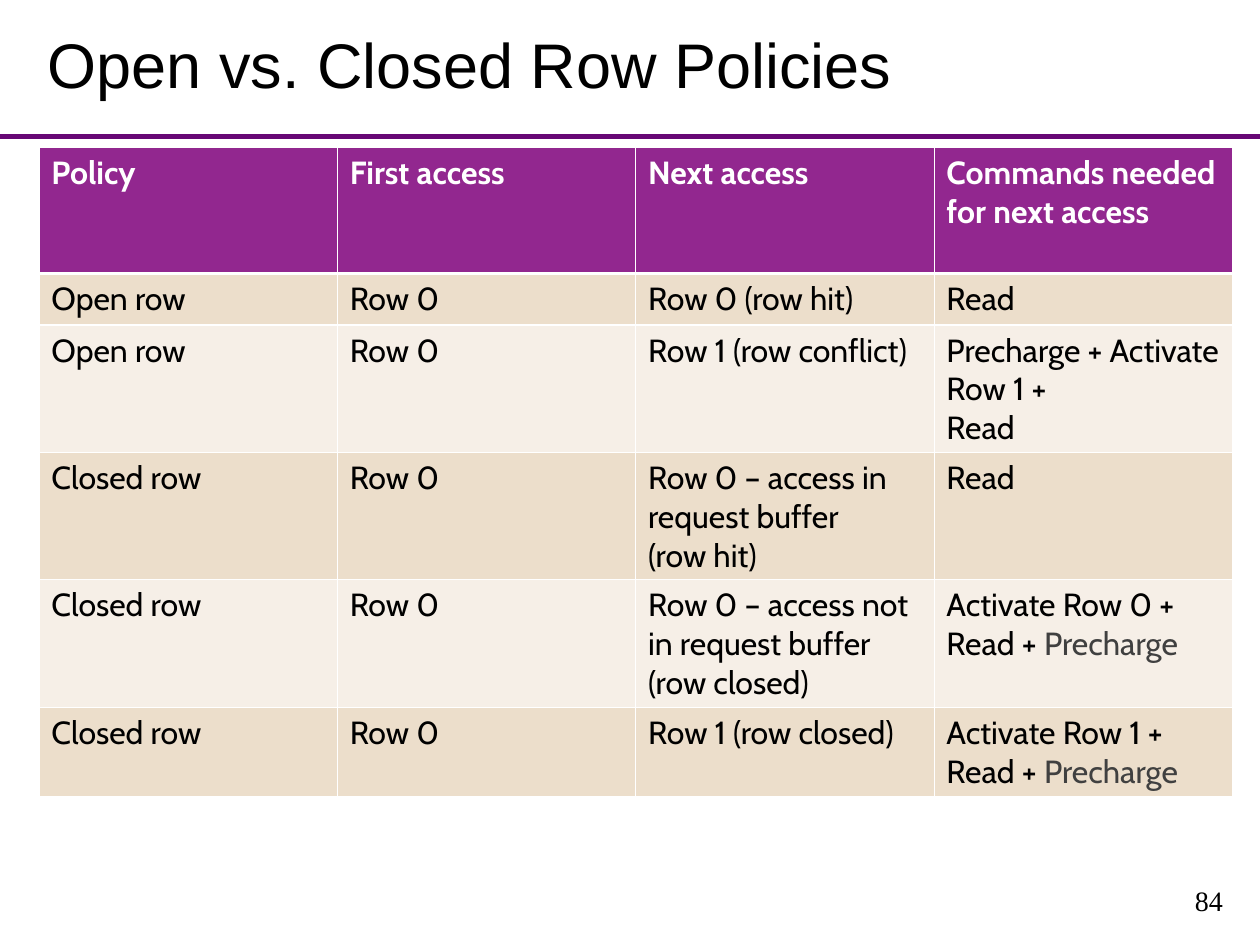
from dataclasses import dataclass

from lxml import etree
from pptx import Presentation
from pptx.dml.color import RGBColor
from pptx.enum.shapes import MSO_CONNECTOR
from pptx.enum.text import MSO_ANCHOR, PP_ALIGN
from pptx.oxml import parse_xml
from pptx.oxml.ns import nsdecls, qn
from pptx.util import Inches, Pt


@dataclass(frozen=True)
class Theme:
    black: str = "000000"
    white: str = "FFFFFF"
    muted: str = "404040"
    rule: str = "670775"
    header: str = "92278F"
    bands: tuple = ("ECDECB", "F6EFE7")
    title_size: float = 51.2
    table_size: float = 26
    number_size: float = 22.8
    title_font: str = "Arial"
    table_font: str = "Cabin"
    number_font: str = "Times New Roman"


theme = Theme()


def style_font(font, name, size, color, bold=False):
    font.name = name
    font.size = Pt(size)
    font.bold = bold
    font.color.rgb = RGBColor.from_string(color)


def add_label(text, left, top, width, height, name, size):
    box = slide.shapes.add_textbox(Inches(left), Inches(top), Inches(width), Inches(height))
    frame = box.text_frame
    frame.word_wrap = True
    frame.vertical_anchor = MSO_ANCHOR.MIDDLE
    frame.text = text
    paragraph = frame.paragraphs[0]
    style_font(paragraph.runs[0].font, name, size, theme.black)
    return paragraph


presentation = Presentation()
presentation.slide_width = Inches(14.22)
presentation.slide_height = Inches(10.67)
slide = presentation.slides.add_slide(presentation.slide_layouts[6])

# Rule under the title
rule = slide.shapes.add_connector(
    MSO_CONNECTOR.STRAIGHT, 0, Inches(1.54), presentation.slide_width, Inches(1.54))
rule.line.color.rgb = RGBColor.from_string(theme.rule)
rule.line.width = Pt(4.5)
etree.SubElement(rule._element.spPr, qn("a:effectLst"))

# Title
title = add_label("Open vs. Closed Row Policies", 0.44, 0.13, 13.47, 1.27,
                  theme.title_font, theme.title_size)
title.line_spacing = 0.9

# Policy table: "\n" parts paragraphs, "|" starts the muted run
policies = [
    ("Policy", "First access", "Next access", "Commands needed for next access"),
    ("Open row", "Row 0", "Row 0 (row hit)", "Read"),
    ("Open row", "Row 0", "Row 1 (row conflict)", "Precharge + Activate Row 1 +\nRead"),
    ("Closed row", "Row 0", "Row 0 – access in request buffer\n(row hit)", "Read"),
    ("Closed row", "Row 0", "Row 0 – access not in request buffer (row closed)",
     "Activate Row 0 + Read + |Precharge"),
    ("Closed row", "Row 0", "Row 1 (row closed)", "Activate Row 1 + Read + |Precharge"),
]
row_heights = [1.42, 0.58, 1.42, 1.42, 1.42, 1]
table = slide.shapes.add_table(
    len(policies), 4, Inches(0.44), Inches(1.67), Inches(13.47), Inches(sum(row_heights))).table

for row_index, (row, height) in enumerate(zip(policies, row_heights)):
    table.rows[row_index].height = Inches(height)
    is_header = row_index == 0
    fill = theme.header if is_header else theme.bands[(row_index - 1) % 2]
    color = theme.white if is_header else theme.black
    for column_index, text in enumerate(row):
        cell = table.cell(row_index, column_index)
        cell.margin_left = cell.margin_right = Inches(0.14)
        cell.margin_top = cell.margin_bottom = Inches(0.07)
        frame = cell.text_frame
        frame.text = text.replace("|", "")
        for paragraph, line in zip(frame.paragraphs, text.split("\n")):
            main, _, muted = line.partition("|")
            paragraph.runs[0].text = main
            if muted:
                paragraph.add_run().text = muted
            for run, run_color in zip(paragraph.runs, (color, theme.muted)):
                style_font(run.font, theme.table_font, theme.table_size, run_color, is_header)

        # Borders come before the fill in the cell properties
        properties = cell._tc.get_or_add_tcPr()
        for side in "LRTB":
            heavy = (side, row_index) in (("B", 0), ("T", 1))
            properties.append(parse_xml(
                f'<a:ln{side} {nsdecls("a")} w="{Pt(3 if heavy else 1)}"><a:solidFill>'
                f'<a:srgbClr val="{theme.white}"/></a:solidFill></a:ln{side}>'))
        cell.fill.solid()
        cell.fill.fore_color.rgb = RGBColor.from_string(fill)

# Slide number
number = add_label("84", 10.7, 9.88, 3.2, 0.57, theme.number_font, theme.number_size)
number.alignment = PP_ALIGN.RIGHT

presentation.save("out.pptx")
